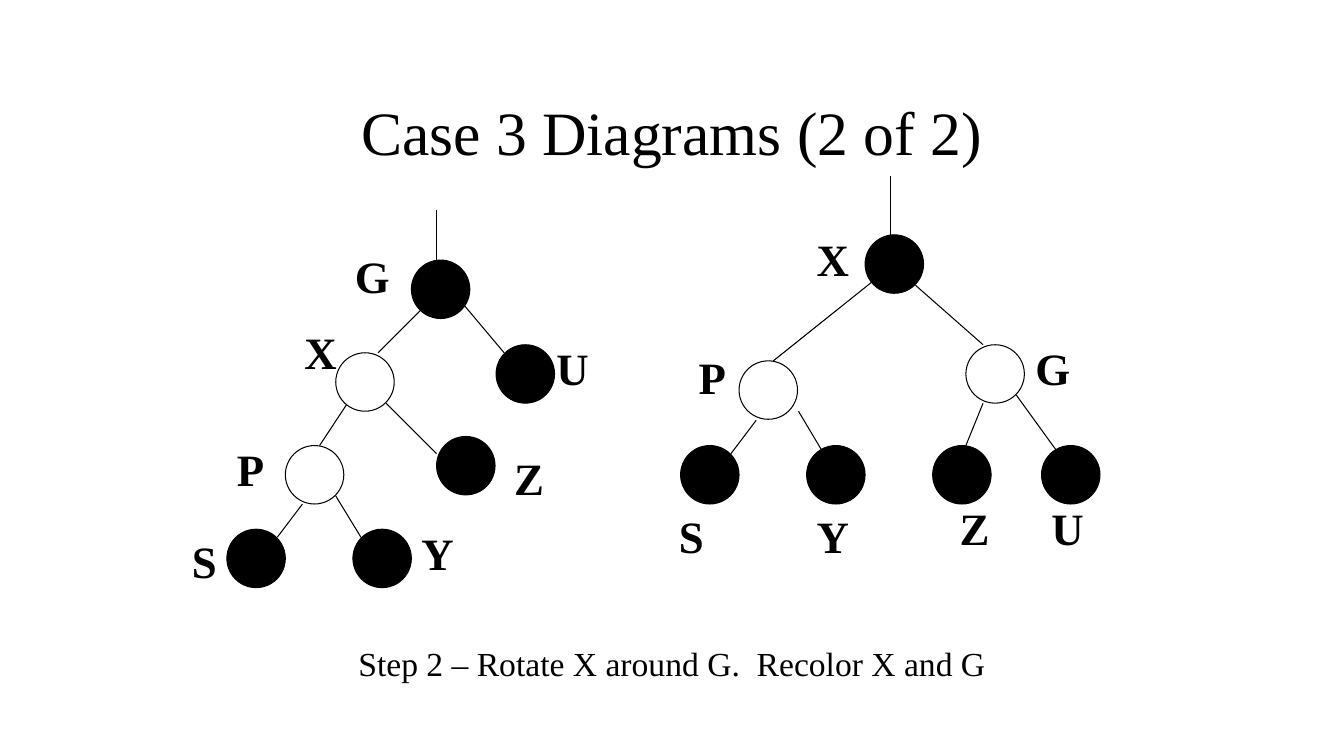
from pptx import Presentation
from pptx.dml.color import RGBColor
from pptx.enum.shapes import MSO_CONNECTOR, MSO_SHAPE
from pptx.enum.text import MSO_ANCHOR, PP_ALIGN
from pptx.oxml.ns import qn
from pptx.util import Inches, Pt

BLACK = RGBColor(0, 0, 0)
WHITE = RGBColor(255, 255, 255)
LEFT, CENTER, RIGHT = PP_ALIGN.LEFT, PP_ALIGN.CENTER, PP_ALIGN.RIGHT
SIZE = 0.58

deck = Presentation()
deck.slide_width, deck.slide_height = Inches(13.33), Inches(7.5)
slide = deck.slides.add_slide(deck.slide_layouts[6])
shapes = slide.shapes


def add_text(words, x, y, width, height, size, align, bold=False):
    box = shapes.add_textbox(*map(Inches, (x, y, width, height)))
    frame = box.text_frame
    frame.word_wrap = True
    para = frame.paragraphs[0]
    para.text = words
    para.alignment = align
    style = {"name": "Times New Roman", "size": Pt(size), "bold": bold}
    for key, value in style.items():
        setattr(para.font, key, value)
    para.font.color.rgb = BLACK
    return frame


title = add_text("Case 3 Diagrams (2 of 2)", 1, 0.67, 11.33, 1.25, 44, CENTER)
title.vertical_anchor = MSO_ANCHOR.MIDDLE

edges = [
    (4.33, 2.75, 4.33, 2.08),
    (3.75, 3.5, 4.17, 3.08),
    (4.58, 3, 5, 3.5),
    (3.17, 4.42, 3.5, 3.92),
    (3.83, 4, 4.33, 4.5),
    (3, 5, 2.75, 5.33),
    (3.33, 4.92, 3.58, 5.33),
    (8.83, 2.33, 8.83, 1.75),
    (7.67, 3.58, 8.92, 2.58),
    (9.75, 3.42, 9.08, 2.83),
    (7.5, 4.17, 7.25, 4.5),
    (7.92, 4.08, 8.17, 4.5),
    (9.75, 4, 9.58, 4.42),
    (10.08, 3.92, 10.5, 4.5),
]
for ends in edges:
    edge = shapes.add_connector(MSO_CONNECTOR.STRAIGHT, *map(Inches, ends))
    edge.line.color.rgb = BLACK
    edge.line.width = Pt(0.75)
    props = edge._element.spPr
    props.append(props.makeelement(qn("a:effectLst"), {}))

nodes = [
    ("G", BLACK, 4.08, 2.58, 3.42, 2.42),
    ("X", WHITE, 3.33, 3.5, 2.92, 3.17),
    ("U", BLACK, 4.92, 3.42, 5.42, 3.33),
    ("P", WHITE, 2.83, 4.42, 2.25, 4.33),
    ("Z", BLACK, 4.33, 4.33, 5, 4.42),
    ("S", BLACK, 2.25, 5.25, 1.42, 5.25),
    ("Y", BLACK, 3.5, 5.25, 4.08, 5.17),
    ("X", BLACK, 8.58, 2.33, 8, 2.25),
    ("P", WHITE, 7.33, 3.58, 6.83, 3.42),
    ("G", WHITE, 9.58, 3.42, 10.17, 3.33),
    ("S", BLACK, 6.75, 4.42, 6.25, 5),
    ("Y", BLACK, 8, 4.42, 8, 5),
    ("Z", BLACK, 9.25, 4.42, 9.42, 4.92),
    ("U", BLACK, 10.33, 4.42, 10.33, 4.92),
]
for name, fill, x, y, tag_x, tag_y in nodes:
    node = shapes.add_shape(MSO_SHAPE.OVAL, *map(Inches, (x, y, SIZE, SIZE)))
    node.shadow.inherit = False
    node.fill.solid()
    node.fill.fore_color.rgb = fill
    node.line.color.rgb = BLACK
    node.line.width = Pt(0.75)
    width, align = (0.83, RIGHT) if name == "S" else (SIZE, LEFT)
    add_text(name, tag_x, tag_y, width, 0.63, 32, align, bold=True)

add_text("Step 2 – Rotate X around G.  Recolor X and G", 2.08, 6.33, 9.17, 0.5, 24, CENTER)

deck.save("out.pptx")
